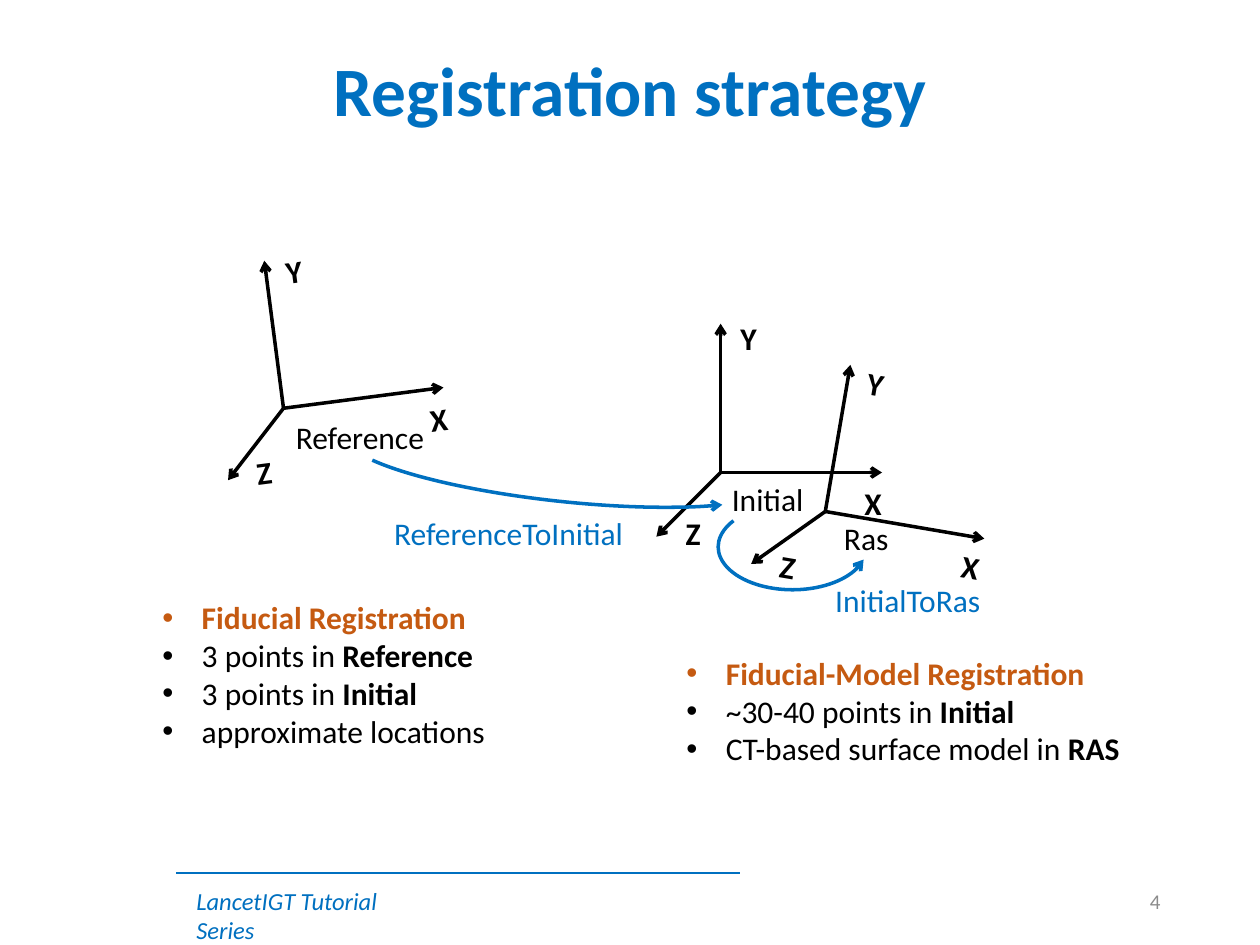
from math import cos, radians, sin

from lxml.etree import SubElement
from pptx import Presentation
from pptx.dml.color import RGBColor
from pptx.enum.shapes import MSO_CONNECTOR, MSO_SHAPE
from pptx.enum.text import MSO_ANCHOR, MSO_AUTO_SIZE, PP_ALIGN
from pptx.oxml.ns import qn
from pptx.util import Pt

BLUE = RGBColor(0x00, 0x70, 0xC0)
BLACK = RGBColor(0x00, 0x00, 0x00)
ORANGE = RGBColor(0xC5, 0x5A, 0x11)
GRAY = RGBColor(0x8C, 0x8C, 0x8C)

presentation = Presentation()
presentation.slide_width, presentation.slide_height = Pt(720), Pt(540)
slide = presentation.slides.add_slide(presentation.slide_layouts[6])


def add_text(text, left, top, width, height=28.8, size=18, color=BLACK, bold=False):
    """Add a one-line text box and return it."""
    box = slide.shapes.add_textbox(Pt(left), Pt(top), Pt(width), Pt(height))
    box.text_frame.word_wrap = False
    box.text_frame.auto_size = MSO_AUTO_SIZE.SHAPE_TO_FIT_TEXT
    paragraph = box.text_frame.paragraphs[0]
    paragraph.text = text
    font = paragraph.font
    font.name, font.size, font.bold = "Calibri", Pt(size), bold
    font.color.rgb = color
    return box


def add_line(start, end, color=BLACK, width=2):
    line = slide.shapes.add_connector(
        MSO_CONNECTOR.STRAIGHT, *(Pt(value) for value in (*start, *end)))
    line.line.color.rgb = color
    line.line.width = Pt(width)
    SubElement(line._element.spPr, qn("a:effectLst"))
    return line


# Footer and title
add_line((100.8, 499), (422.6, 499), BLUE, 1.25)
footer = add_text("LancetIGT Tutorial Series", 105.1, 502.6, 148.3, 24.5, 14, BLUE)
footer.text_frame.paragraphs[0].font.italic = True

title = add_text("Registration strategy", 49.7, 28.8, 620.6, 49.7, 39.6, BLUE, True)
number = add_text("4", 508.3, 500.4, 162, 28.8, 12, GRAY)
for box, alignment in ((title, PP_ALIGN.CENTER), (number, PP_ALIGN.RIGHT)):
    box.text_frame.word_wrap = True
    box.text_frame.auto_size = MSO_AUTO_SIZE.NONE
    box.text_frame.vertical_anchor = MSO_ANCHOR.MIDDLE
    box.text_frame.paragraphs[0].alignment = alignment
title.text_frame.paragraphs[0].line_spacing = 0.9

# Coordinate frames: one set of axes, turned about each origin
AXES = [  # name, arrow tip and label centre relative to the origin
    ("Y", (0, -85), (16.2, -77)),
    ("X", (92.2, 0), (87.1, 17.3)),
    ("Z", (-36.7, 36.7), (-15.1, 34.6)),
]
FRAMES = [  # origin x, origin y, rotation in degrees
    (411.8, 270, 0),
    (471.6, 292.3, 9.7),
    (162, 233.3, -7.4),
]
for origin_x, origin_y, angle in FRAMES:
    cosine, sine = cos(radians(angle)), sin(radians(angle))
    for name, *offsets in AXES:
        tip, center = [(origin_x + x * cosine - y * sine,
                        origin_y + x * sine + y * cosine) for x, y in offsets]
        axis = add_line((origin_x, origin_y), tip)
        SubElement(axis.line._get_or_add_ln(), qn("a:tailEnd"), type="arrow")
        label = add_text(name, center[0] - 12, center[1] - 14.4, 24, bold=True)
        label.rotation = angle

# Curved transform arrows
ARCS = [  # left, top, width, height, rotation, end adjustment
    (410.4, 288, 85, 49, 0, 122.307),
    (195.8, 237.6, 252.7, 49, 6.1, 104.064),
]
for left, top, width, height, angle, end_adjustment in ARCS:
    arc = slide.shapes.add_shape(MSO_SHAPE.ARC, Pt(left), Pt(top), Pt(width), Pt(height))
    arc.adjustments[0] = 6.079
    arc.adjustments[1] = end_adjustment
    arc.rotation = angle
    arc.shadow.inherit = False
    arc.fill.background()
    arc.line.color.rgb = BLUE
    arc.line.width = Pt(2)
    SubElement(arc.line._get_or_add_ln(), qn("a:headEnd"), type="arrow")

# Frame and transform names
for text, left, top, width, color in [
    ("Initial", 411.1, 270.7, 56.2, BLACK),
    ("Ras", 475.2, 293, 40.3, BLACK),
    ("InitialToRas", 470.2, 328.3, 98.6, BLUE),
    ("Reference", 162, 235.4, 88.6, BLACK),
    ("ReferenceToInitial", 218.2, 290.2, 146.9, BLUE),
]:
    add_text(text, left, top, width, color=color)

# Bulleted registration steps: heading, then (plain text, bold ending)
STEPS = [
    (85.7, 338.4, 200.9, 94.3, "Fiducial Registration",
     [("3 points in ", "Reference"), ("3 points in ", "Initial"),
      ("approximate locations", "")]),
    (385.2, 370.1, 266.4, 72.7, "Fiducial-Model Registration",
     [("~30-40 points in ", "Initial"), ("CT-based surface model in ", "RAS")]),
]
for left, top, width, height, heading, items in STEPS:
    box = add_text(heading, left, top, width, height, color=ORANGE, bold=True)
    for plain, ending in items:
        paragraph = box.text_frame.add_paragraph()
        paragraph.font.name, paragraph.font.size = "Calibri", Pt(18)
        paragraph.font.color.rgb = BLACK
        paragraph.add_run().text = plain
        if ending:
            run = paragraph.add_run()
            run.text = ending
            run.font.bold = True
    for paragraph in box.text_frame.paragraphs:
        properties = paragraph._p.get_or_add_pPr()
        properties.set("marL", str(Pt(22.5)))
        properties.set("indent", str(Pt(-22.5)))
        bullet_font = properties.makeelement(qn("a:buFont"), {"typeface": "Arial"})
        bullet = properties.makeelement(qn("a:buChar"), {"char": "•"})
        properties.insert(0, bullet_font)
        properties.insert(1, bullet)

presentation.save("out.pptx")
